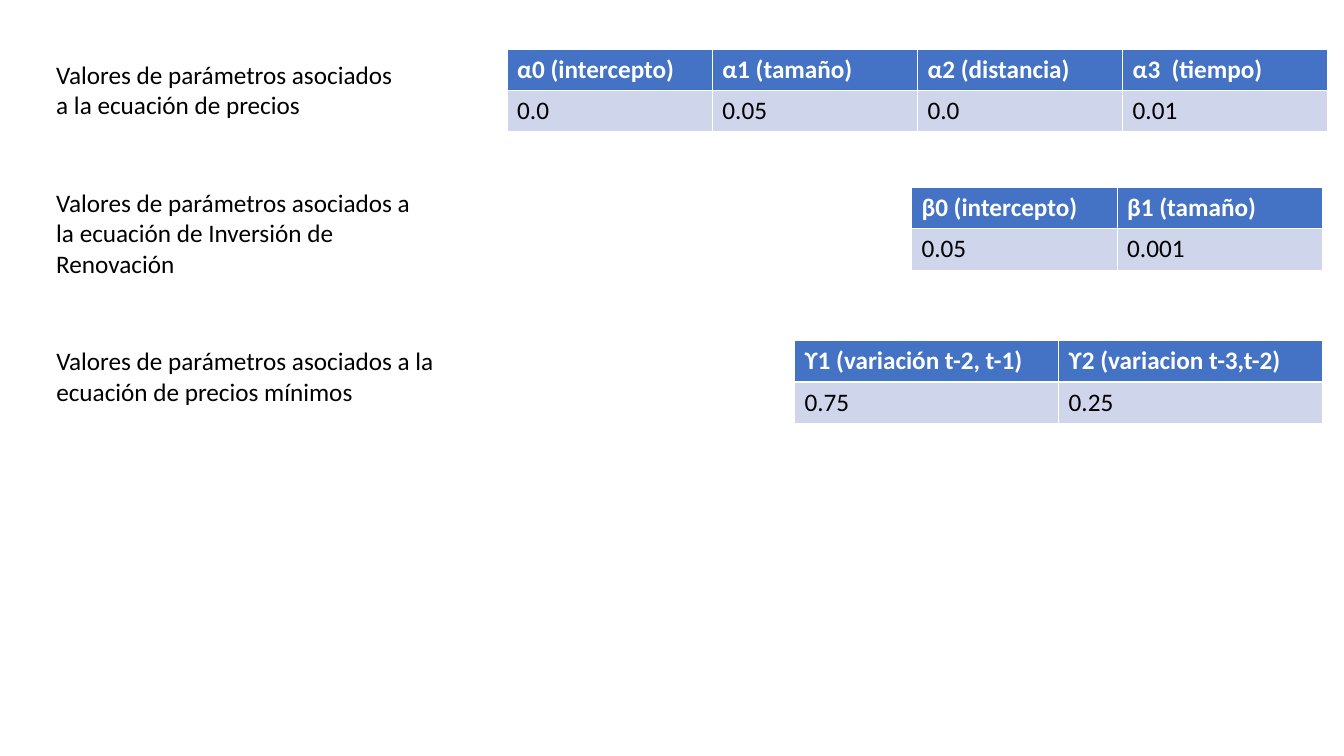
import pptx
import pptx.util
import pptx.dml.color
import pptx.enum.text

COLORS = {"header": "4472C4", "values": "CFD5EA", "light": "FFFFFF", "dark": "000000"}
FONT = "Calibri"
TEXT_SIZE = 18
ROW_HEIGHT = 0.41
LABEL_LEFT = 0.46

# Each equation: label, label box (top, width, height),
# table box (left, top, width), parameter names and values
EQUATIONS = [
    ("Valores de parámetros asociados a la ecuación de precios",
     (0.54, 3.63, 0.71), (5.03, 0.49, 8.14),
     {"α0 (intercepto)": "0.0", "α1 (tamaño)": "0.05",
      "α2 (distancia)": "0.0", "α3  (tiempo)": "0.01"}),
    ("Valores de parámetros asociados a la ecuación de Inversión de Renovación",
     (1.81, 3.87, 1.01), (9.04, 1.86, 4.08),
     {"β0 (intercepto)": "0.05", "β1 (tamaño)": "0.001"}),
    ("Valores de parámetros asociados a la ecuación de precios mínimos",
     (3.38, 4.75, 0.71), (7.88, 3.38, 5.24),
     {"ϒ1 (variación t-2, t-1)": "0.75", "ϒ2 (variacion t-3,t-2)": "0.25"}),
]


def rgb(name):
    return pptx.dml.color.RGBColor.from_string(COLORS[name])


def write(text_frame, text, color, bold=False):
    text_frame.text = text
    font = text_frame.paragraphs[0].runs[0].font
    font.name = FONT
    font.size = pptx.util.Pt(TEXT_SIZE)
    font.bold = bold
    font.color.rgb = rgb(color)


def add_label(slide, text, box):
    label = slide.shapes.add_textbox(*map(pptx.util.Inches, (LABEL_LEFT, *box)))
    label.text_frame.word_wrap = True
    label.text_frame.auto_size = pptx.enum.text.MSO_AUTO_SIZE.SHAPE_TO_FIT_TEXT
    write(label.text_frame, text, "dark")


def add_parameters(slide, parameters, box):
    # The table style supplies the white borders
    table = slide.shapes.add_table(
        2, len(parameters), *map(pptx.util.Inches, (*box, 2 * ROW_HEIGHT))).table
    for column, (parameter, value) in enumerate(parameters.items()):
        header, figure = table.cell(0, column), table.cell(1, column)
        write(header.text_frame, parameter, "light", bold=True)
        write(figure.text_frame, value, "dark")
        for cell, fill in ((header, "header"), (figure, "values")):
            cell.fill.solid()
            cell.fill.fore_color.rgb = rgb(fill)


def main():
    deck = pptx.Presentation()
    deck.slide_width = pptx.util.Inches(13.33)
    deck.slide_height = pptx.util.Inches(7.5)
    slide = deck.slides.add_slide(deck.slide_layouts[6])
    for label, label_box, table_box, parameters in EQUATIONS:
        add_label(slide, label, label_box)
        add_parameters(slide, parameters, table_box)
    deck.save("out.pptx")


if __name__ == "__main__":
    main()
